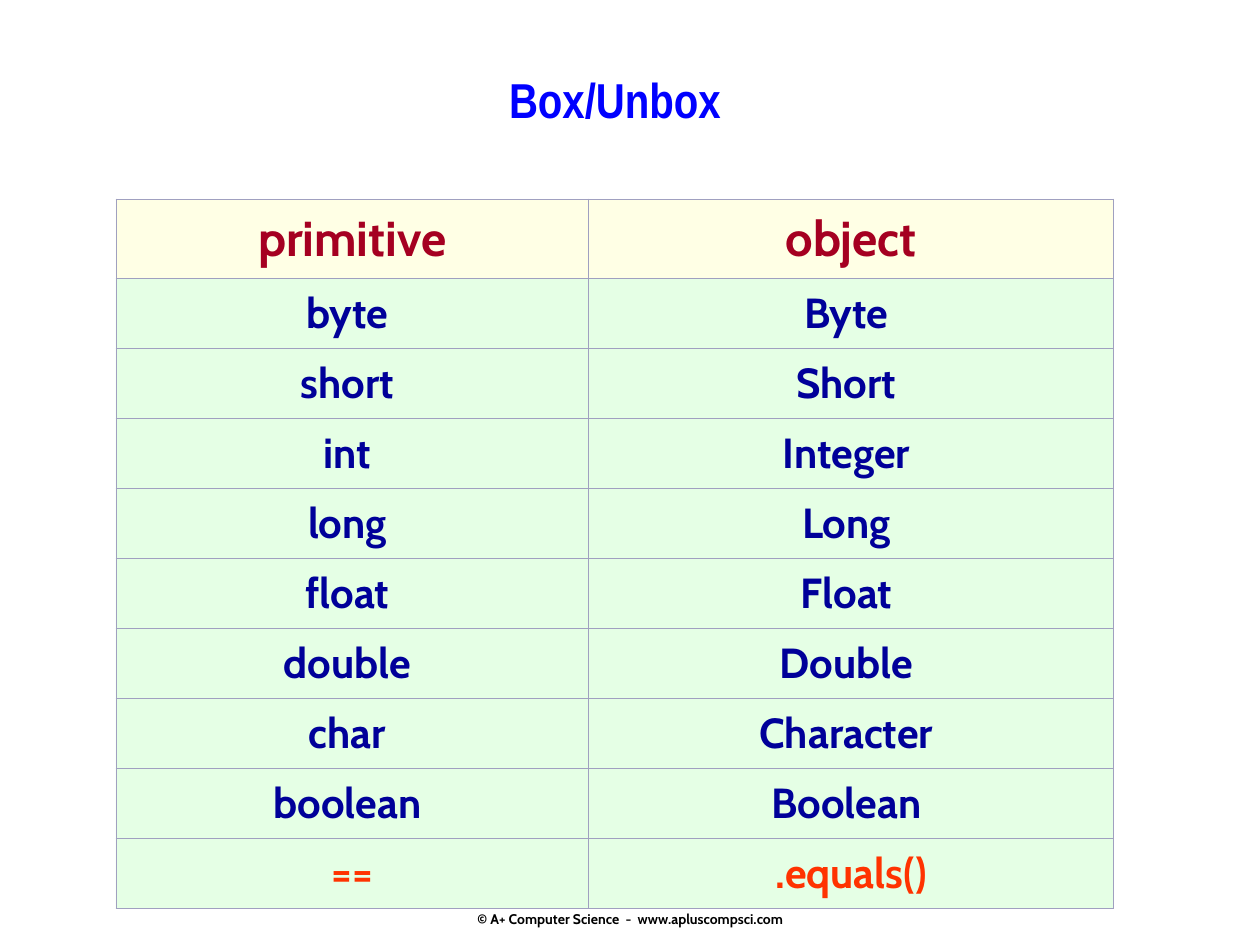
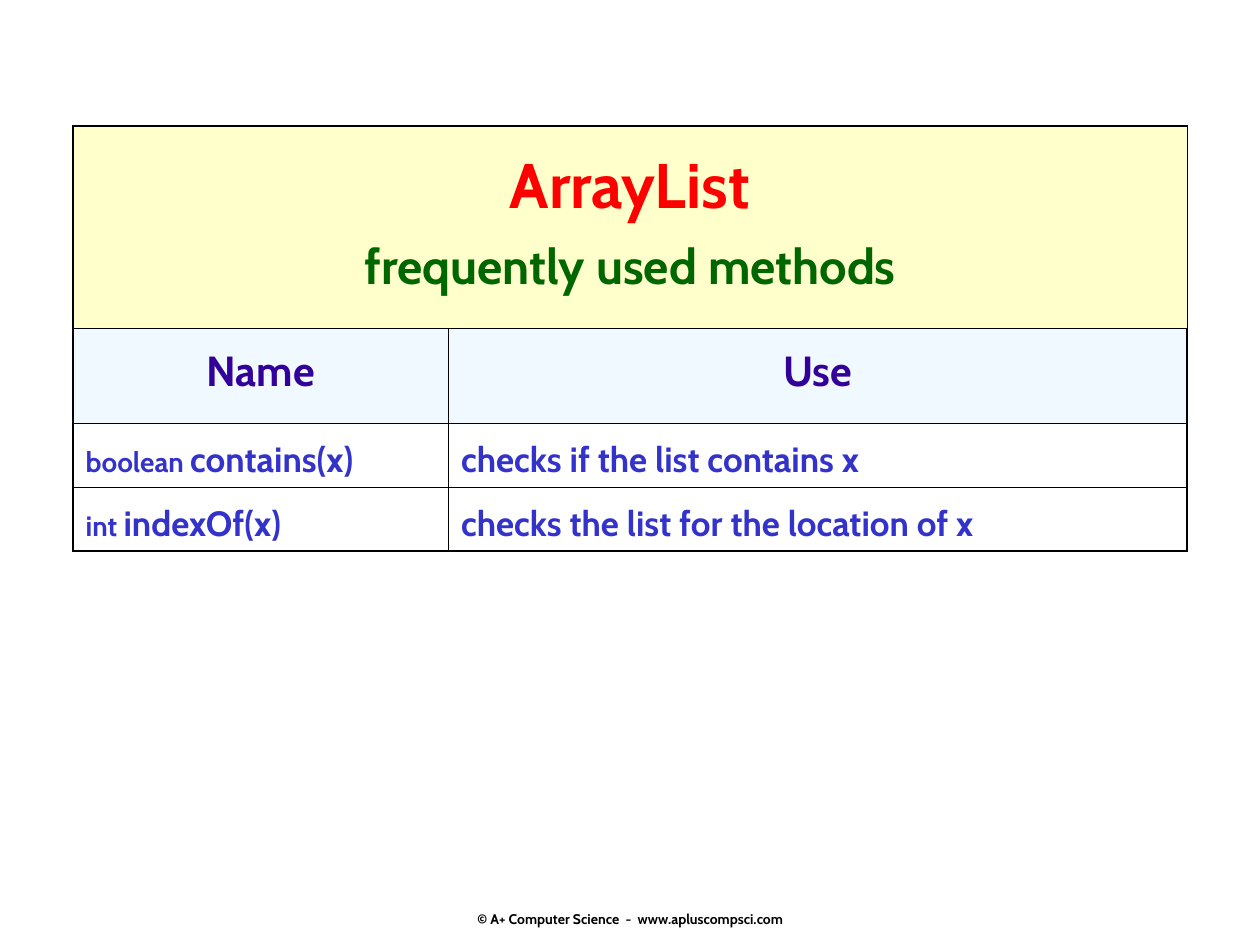
from lxml import etree
from pptx import Presentation
from pptx.dml.color import RGBColor
from pptx.enum.text import MSO_ANCHOR, MSO_AUTO_SIZE, PP_ALIGN
from pptx.oxml.ns import qn
from pptx.util import Inches, Pt

CENTER, LEFT = PP_ALIGN.CENTER, PP_ALIGN.LEFT
TOP, MIDDLE = MSO_ANCHOR.TOP, MSO_ANCHOR.MIDDLE
NO_AUTOFIT = MSO_AUTO_SIZE.NONE
TITLE_ONLY, BLANK = 5, 6

COLORS = {
    "title": "0000FF", "title_edge": "FFFF00", "footer": "000000",
    "type_grid": "A0A0C0", "type_head": "A50021", "type_name": "000099",
    "comparison": "FF3300", "type_head_fill": "FFFFCC", "type_fill": "CCFFCC",
    "method_grid": "000000", "class_name": "FF0000", "subtitle": "006600",
    "class_fill": "FFFFCC", "column_head": "330099", "column_fill": "E1F4FF",
    "method": "3333CC",
}
BODY_FONT, TITLE_FONT = "Cabin", "Arial Narrow"
THIN, THICK = 0.45, 1.08
FOOTER = "© A+ Computer Science  -  www.apluscompsci.com"

TYPE_PAIRS = [
    ("byte", "Byte"), ("short", "Short"), ("int", "Integer"), ("long", "Long"),
    ("float", "Float"), ("double", "Double"), ("char", "Character"),
    ("boolean", "Boolean"),
]
METHODS = [
    ("boolean ", "contains(x)", "checks if the list contains x"),
    ("int ", "indexOf(x)", "checks the list for the location of x"),
]


def style_run(run, size, color, font=BODY_FONT):
    run.font.name = font
    run.font.size = Pt(size)
    run.font.bold = True
    run.font.color.rgb = RGBColor.from_string(COLORS[color])


def add_line(parent, tag, width, color):
    """Append a solid DrawingML line, such as a cell border or text outline."""
    line = etree.SubElement(parent, qn(tag), w=str(Pt(width)))
    fill = etree.SubElement(line, qn("a:solidFill"))
    etree.SubElement(fill, qn("a:srgbClr"), val=COLORS[color])
    return line


def add_title(slide, text):
    title = slide.shapes.title
    title.left, title.top = Inches(1.17), Inches(0.5)
    title.width, title.height = Inches(7.42), Inches(0.75)
    frame = title.text_frame
    frame.text = text
    frame.auto_size = NO_AUTOFIT
    frame.vertical_anchor = TOP
    frame.paragraphs[0].alignment = CENTER
    run = frame.paragraphs[0].runs[0]
    style_run(run, 28, "title", TITLE_FONT)
    properties = run.font._element
    properties.insert(0, add_line(properties, "a:ln", 0.75, "title_edge"))


def add_footer(slide):
    box = slide.shapes.add_textbox(Inches(3.42), Inches(7.04), Inches(3.17), Inches(0.5))
    frame = box.text_frame
    frame.word_wrap = False
    frame.vertical_anchor = MIDDLE
    frame.text = FOOTER
    frame.paragraphs[0].alignment = CENTER
    style_run(frame.paragraphs[0].runs[0], 8, "footer")


def add_grid(slide, left, top, widths, heights):
    """Add a table with no banding and return it."""
    table = slide.shapes.add_table(
        len(heights), len(widths), Inches(left), Inches(top),
        Inches(sum(widths)), Inches(sum(heights))).table
    table.first_row = table.horz_banding = False
    for column, width in zip(table.columns, widths):
        column.width = Inches(width)
    for row, height in zip(table.rows, heights):
        row.height = Inches(height)
    return table


def write_cell(cell, paragraphs, align=CENTER, anchor=TOP):
    """Fill a cell; each paragraph is (space before, [(text, size, color)])."""
    cell.vertical_anchor = anchor
    frame = cell.text_frame
    for index, (space_before, pieces) in enumerate(paragraphs):
        paragraph = frame.add_paragraph() if index else frame.paragraphs[0]
        paragraph.alignment = align
        if index:
            paragraph.space_before = Pt(space_before)
        else:
            cell.margin_top = Inches(0.05) + Pt(space_before)
        for text, size, color in pieces:
            run = paragraph.add_run()
            run.text = text
            style_run(run, size, color)


def fill_cell(cell, color=None, opacity=100):
    if color is None:
        cell.fill.background()
        return
    cell.fill.solid()
    cell.fill.fore_color.rgb = RGBColor.from_string(COLORS[color])
    if opacity < 100:
        swatch = cell._tc.tcPr.find(".//" + qn("a:srgbClr"))
        etree.SubElement(swatch, qn("a:alpha"), val=str(opacity * 1000))


def draw_borders(table, color, outer=THIN):
    """Rule every cell thinly, with the outer edge at its own width."""
    last_row, last_column = len(table.rows) - 1, len(table.columns) - 1
    for r in range(last_row + 1):
        for c in range(last_column + 1):
            properties = table.cell(r, c)._tc.get_or_add_tcPr()
            edges = [("a:lnL", c == 0), ("a:lnR", c == last_column),
                     ("a:lnT", r == 0), ("a:lnB", r == last_row)]
            for position, (tag, is_outer) in enumerate(edges):
                line = add_line(properties, tag, outer if is_outer else THIN, color)
                properties.insert(position, line)


def build_box_unbox(prs):
    slide = prs.slides.add_slide(prs.slide_layouts[TITLE_ONLY])
    add_footer(slide)
    rows = [(("primitive", "object"), 28, "type_head", "type_head_fill")]
    rows += [((f"{primitive} ", f"{wrapper} "), 24, "type_name", "type_fill")
             for primitive, wrapper in TYPE_PAIRS]
    rows.append((("==", ".equals()"), 24, "comparison", "type_fill"))
    heights = [0.63] + [0.556] * (len(rows) - 1)
    table = add_grid(slide, 0.92, 1.58, [3.75, 4.17], heights)
    for r, (texts, size, color, fill) in enumerate(rows):
        for c, text in enumerate(texts):
            cell = table.cell(r, c)
            write_cell(cell, [(0, [(text, size, color)])], anchor=MIDDLE)
            fill_cell(cell, fill, 50)
    draw_borders(table, "type_grid")
    add_title(slide, "Box/Unbox")


def build_list_methods(prs):
    slide = prs.slides.add_slide(prs.slide_layouts[BLANK])
    add_footer(slide)
    table = add_grid(slide, 0.58, 1, [2.98, 5.86], [1.61, 0.75, 0.51, 0.49])
    heading = table.cell(0, 0)
    heading.merge(table.cell(0, 1))
    write_cell(heading, [(9, [("ArrayList", 36, "class_name")]),
                         (7, [("frequently used methods", 28, "subtitle")])])
    fill_cell(heading, "class_fill")
    for c, label in enumerate(("Name", "Use")):
        write_cell(table.cell(1, c), [(6, [(label, 24, "column_head")])])
        fill_cell(table.cell(1, c), "column_fill", 50)
    for r, (return_type, call, use) in enumerate(METHODS, start=2):
        signature = [(return_type, 16, "method"), (call, 20, "method")]
        for c, pieces in enumerate((signature, [(use, 20, "method")])):
            write_cell(table.cell(r, c), [(5, pieces)], LEFT)
            fill_cell(table.cell(r, c))
    draw_borders(table, "method_grid", THICK)


def main():
    prs = Presentation()
    prs.slide_width, prs.slide_height = Inches(10), Inches(7.5)
    build_box_unbox(prs)
    build_list_methods(prs)
    prs.save("out.pptx")


if __name__ == "__main__":
    main()
